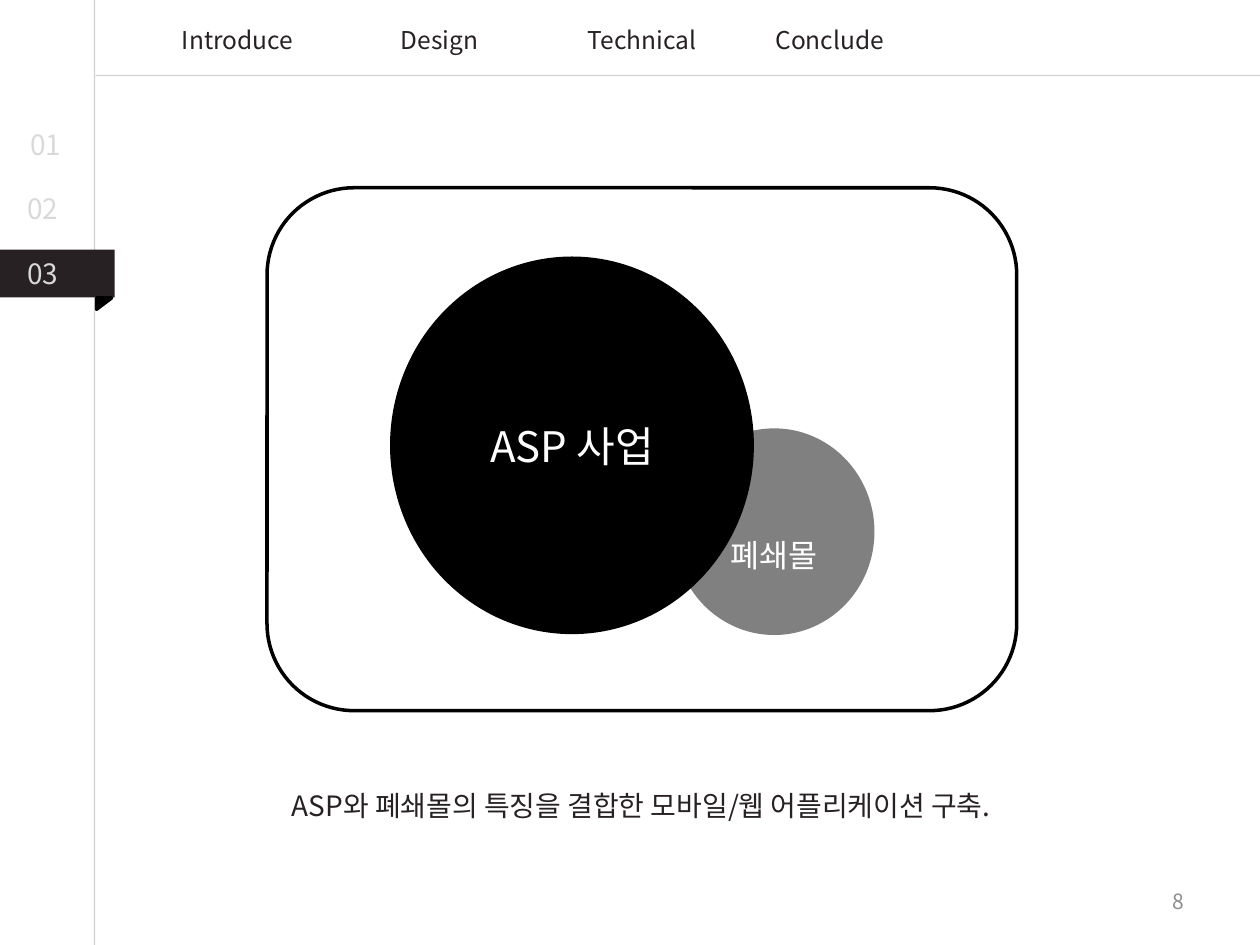
"""Build the ASP business slide with its navigation frame and overlapping circles."""
from lxml import etree
from pptx import Presentation
from pptx.dml.color import RGBColor
from pptx.enum.shapes import MSO_CONNECTOR, MSO_SHAPE
from pptx.enum.text import MSO_ANCHOR, MSO_AUTO_SIZE, PP_ALIGN
from pptx.oxml.ns import qn
from pptx.util import Pt

LEFT, CENTER, RIGHT = PP_ALIGN.LEFT, PP_ALIGN.CENTER, PP_ALIGN.RIGHT
TOP, MIDDLE = MSO_ANCHOR.TOP, MSO_ANCHOR.MIDDLE
RECTANGLE, ROUNDED = MSO_SHAPE.RECTANGLE, MSO_SHAPE.ROUNDED_RECTANGLE
OVAL, TRIANGLE = MSO_SHAPE.OVAL, MSO_SHAPE.RIGHT_TRIANGLE
STRAIGHT = MSO_CONNECTOR.STRAIGHT
FIT_TEXT = MSO_AUTO_SIZE.SHAPE_TO_FIT_TEXT

FONT = "Noto Sans CJK KR"
WIDTH, HEIGHT = 720, 540
COLORS = {
    "rule": "A6A6A6", "ink": "272123", "black": "000000", "white": "FFFFFF",
    "gray": "808080", "number": "D9D9D9", "page": "8C8C8C",
}
RULES = [(54, 0, 54, HEIGHT), (54.7, 43.2, WIDTH, 43.2)]
SECTIONS = [("01", 10.1, 69.1), ("02", 8.6, 105.8), ("03", 8.6, 143.3)]
TABS = [("Introduce", 82.1, 107.3), ("Design", 213.1, 76.3),
        ("Technical", 313.2, 107.3), ("Conclude", 420.5, 107.3)]
FRAME = (152.6, 107.3, 428.4, 298.8)
MARKER = (0, 142.6, 65.5, 27.4)
MARKER_FOLD = (56.2, 169.2, 6.5, 8.6)
CIRCLES = [
    ("폐쇄몰", (385.2, 244.8, 114.5, 118.1), "gray", None, 18, 29.6),
    ("ASP 사업", (223.9, 147.6, 205.9, 213.8), "black", "black", 24, 3.6),
]
CAPTION = "ASP와 폐쇄몰의 특징을 결합한 모바일/웹 어플리케이션 구축."
PAGE = "8"


def rgb(name):
    return RGBColor.from_string(COLORS[name])


def points(values):
    return [Pt(value) for value in values]


def write(shape, text, size, color, align=LEFT, anchor=TOP):
    frame = shape.text_frame
    frame.word_wrap = True
    frame.vertical_anchor = anchor
    paragraph = frame.paragraphs[0]
    paragraph.alignment = align
    run = paragraph.add_run()
    run.text = text
    run.font.size = Pt(size)
    run.font.color.rgb = rgb(color)
    run.font.name = FONT
    east_asian = etree.SubElement(run.font._element, qn("a:ea"))
    east_asian.set("typeface", FONT)


def add_text(slide, box, text, size, color, align=LEFT):
    shape = slide.shapes.add_textbox(*points(box))
    write(shape, text, size, color, align)
    shape.text_frame.auto_size = FIT_TEXT
    return shape


def add_shape(slide, kind, box, fill, line=None):
    shape = slide.shapes.add_shape(kind, *points(box))
    shape.shadow.inherit = False
    shape.fill.solid()
    shape.fill.fore_color.rgb = rgb(fill)
    if line:
        shape.line.color.rgb = rgb(line)
        shape.line.width = Pt(2)
    else:
        shape.line.fill.background()
    return shape


def add_rule(slide, ends):
    rule = slide.shapes.add_connector(STRAIGHT, *points(ends))
    rule.line.color.rgb = rgb("rule")
    rule.line.width = Pt(0.75)
    properties = rule._element.spPr
    color = properties.find(".//" + qn("a:srgbClr"))
    etree.SubElement(color, qn("a:alpha")).set("val", "50000")
    etree.SubElement(properties, qn("a:effectLst"))


def main():
    presentation = Presentation()
    presentation.slide_width, presentation.slide_height = Pt(WIDTH), Pt(HEIGHT)
    slide = presentation.slides.add_slide(presentation.slide_layouts[6])

    for ends in RULES:
        add_rule(slide, ends)
    add_shape(slide, RECTANGLE, MARKER, "ink")
    add_shape(slide, TRIANGLE, MARKER_FOLD, "black", "black").rotation = 90
    for text, left, top in SECTIONS:
        add_text(slide, (left, top, 42, 26.6), text, 16, "number")
    for text, left, width in TABS:
        add_text(slide, (left, 10.8, width, 24.5), text, 14, "ink", CENTER)

    add_shape(slide, ROUNDED, FRAME, "white", "black")
    for text, box, fill, line, size, inset in CIRCLES:
        circle = add_shape(slide, OVAL, box, fill, line)
        write(circle, text, size, "white", CENTER, MIDDLE)
        circle.text_frame.margin_top = Pt(inset)

    add_text(slide, (159.8, 447.1, 414.7, 26.6), CAPTION, 16, "ink")
    page = slide.shapes.add_textbox(*points((516.2, 500.4, 167.8, 28.8)))
    write(page, PAGE, 12, "page", RIGHT, MIDDLE)
    presentation.save("out.pptx")


if __name__ == "__main__":
    main()
